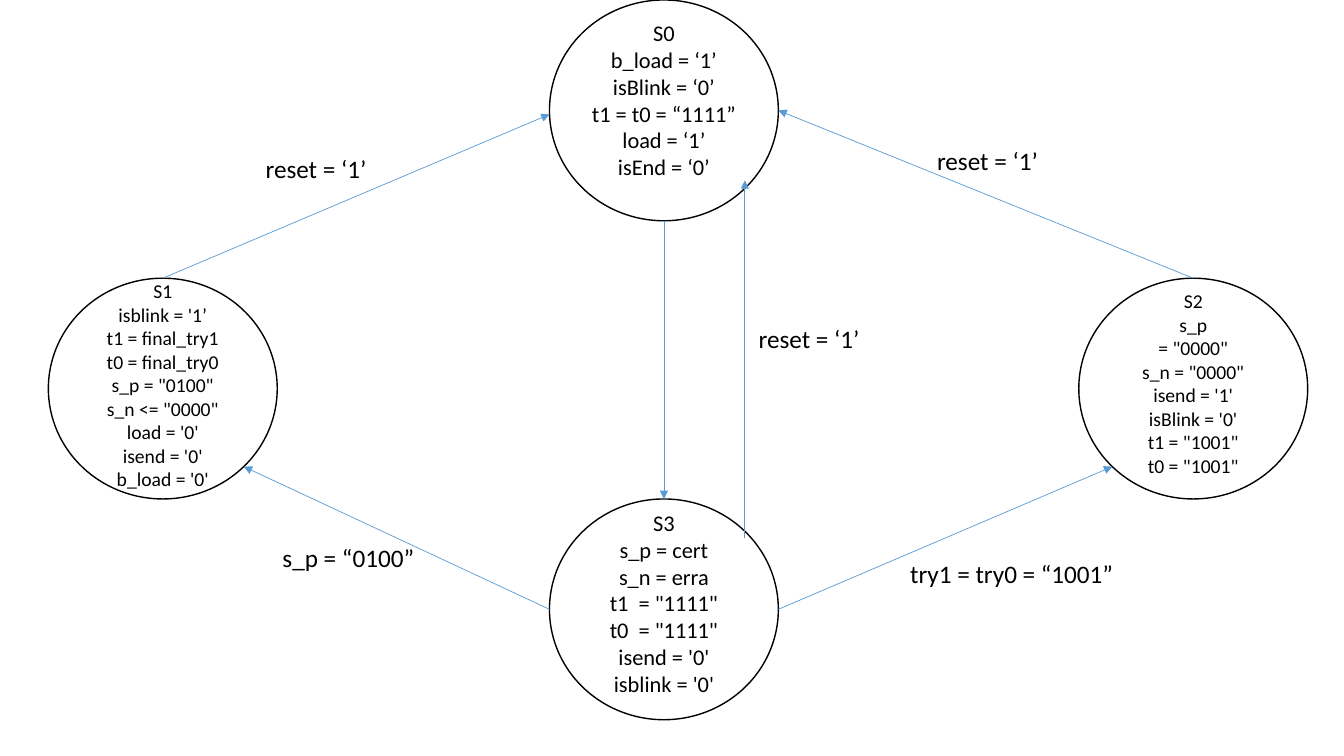
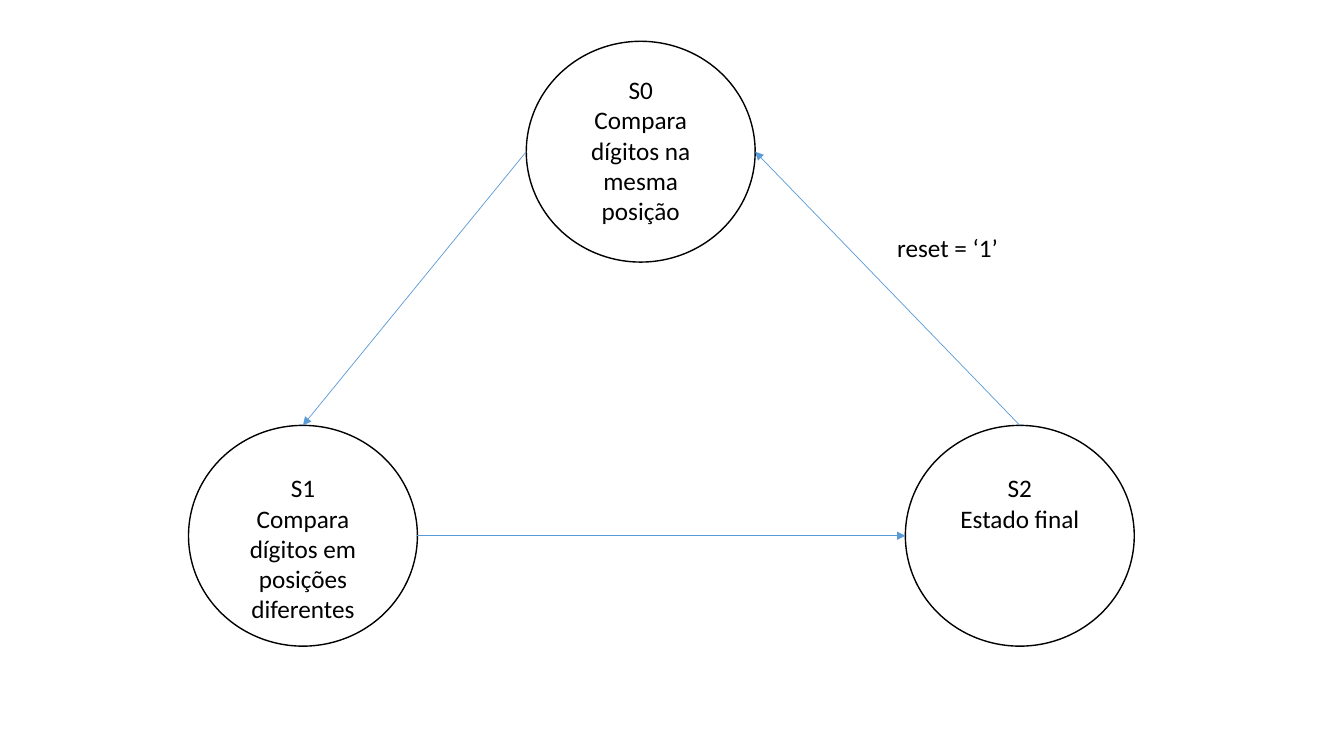
from math import cos, radians, sin
from lxml.etree import SubElement
from pptx import Presentation
from pptx.dml.color import RGBColor
from pptx.enum.shapes import MSO_CONNECTOR, MSO_SHAPE
from pptx.enum.text import PP_ALIGN
from pptx.oxml.ns import qn
from pptx.util import Inches, Pt

COLORS = {"ink": "000000", "arrow": "5B9BD5"}
FONT = "Calibri"
STATE_WIDTH, STATE_HEIGHT = 2.27, 2.19
TEXT_WIDTH = 1.63
LABEL_HEIGHT = 0.4
RIGHT, LOWER_RIGHT, BOTTOM, LOWER_LEFT, LEFT, TOP, UPPER_RIGHT = 0, 45, 90, 135, 180, 270, 315

# Each state: left, top, text top, text size, lines.
# Each arrow: state, angle, vertical shift at its start, then the same at its end.
# Each label: left, top, width, alignment, text.
DIAGRAMS = [
    {
        "states": {
            "S0": (5.45, 0, 0.14, 16, ["b_load = ‘1’", "isBlink = ‘0’", "t1 = t0 = “1111”",
                                       "load = ‘1’", "isEnd = ‘0’"]),
            "S1": (0.48, 2.76, 2.72, 14, ["isblink = '1’", "t1 = final_try1", "t0 = final_try0",
                                          's_p = "0100"', 's_n <= "0000"', "load = '0'",
                                          "isend = '0'", "b_load = '0'"]),
            "S2": (10.7, 2.76, 2.82, 14, ["s_p", '= "0000"', 's_n = "0000"', "isend = '1'",
                                          "isBlink = '0'", 't1 = "1001"', 't0 = "1001"']),
            "S3": (5.45, 4.95, 5, 16, ["s_p = cert", "s_n = erra", 't1  = "1111"',
                                       't0  = "1111"', "isend = '0'", "isblink = '0'"]),
        },
        "arrows": [
            ("S0", BOTTOM, 0, "S3", TOP, 0),
            ("S3", LEFT, 0, "S1", LOWER_RIGHT, 0),
            ("S3", RIGHT, 0, "S2", LOWER_LEFT, 0),
            ("S1", TOP, 0, "S0", LEFT, 0.04),
            ("S2", TOP, 0, "S0", RIGHT, 0),
            ("S3", UPPER_RIGHT, 0.07, "S0", LOWER_RIGHT, -0.08),
        ],
        "labels": [
            (2.27, 5.33, 2.37, PP_ALIGN.CENTER, "s_p = “0100”"),
            (8.85, 5.49, 2.37, PP_ALIGN.CENTER, "try1 = try0 = “1001”"),
            (1.95, 1.47, 2.37, PP_ALIGN.CENTER, "reset = ‘1’"),
            (8.61, 1.39, 2.37, PP_ALIGN.CENTER, "reset = ‘1’"),
            (6.84, 3.16, 2.37, PP_ALIGN.CENTER, "reset = ‘1’"),
        ],
    },
    {
        "states": {
            "S0": (5.22, 0.41, 0.69, 18, ["Compara dígitos na mesma posição"]),
            "S1": (1.87, 4.22, 4.64, 18, ["Compara dígitos em posições diferentes"]),
            "S2": (8.98, 4.22, 4.64, 18, ["Estado final"]),
        },
        "arrows": [
            ("S0", LEFT, 0, "S1", TOP, 0),
            ("S1", RIGHT, 0, "S2", LEFT, 0),
            ("S2", TOP, 0, "S0", RIGHT, 0),
        ],
        "labels": [(8.8, 2.26, 2.16, PP_ALIGN.LEFT, "reset = ‘1’")],
    },
]


def add_text(page, lines, left, top, width, height, size=18, align=PP_ALIGN.CENTER):
    box = page.shapes.add_textbox(Inches(left), Inches(top), Inches(width), Inches(height))
    box.text_frame.word_wrap = True
    box.text_frame.text = "\n".join(lines)
    for para in box.text_frame.paragraphs:
        para.alignment = align
        for span in para.runs:
            span.font.size = Pt(size)
            span.font.name = FONT
            span.font.color.rgb = RGBColor.from_string(COLORS["ink"])


def rim_point(state, angle, shift):
    left, top = state[:2]
    x = left + STATE_WIDTH / 2 * (1 + cos(radians(angle)))
    y = top + STATE_HEIGHT / 2 * (1 + sin(radians(angle))) + shift
    return Inches(x), Inches(y)


deck = Presentation()
deck.slide_width, deck.slide_height = Inches(13.33), Inches(7.5)

for diagram in DIAGRAMS:
    page = deck.slides.add_slide(deck.slide_layouts[6])
    states = diagram["states"]

    for left, top, *_ in states.values():
        circle = page.shapes.add_shape(MSO_SHAPE.OVAL, Inches(left), Inches(top),
                                       Inches(STATE_WIDTH), Inches(STATE_HEIGHT))
        circle.shadow.inherit = False
        circle.fill.background()
        circle.line.color.rgb = RGBColor.from_string(COLORS["ink"])
        circle.line.width = Pt(1)

    for name, (left, top, text_top, size, lines) in states.items():
        add_text(page, [name, *lines], left + (STATE_WIDTH - TEXT_WIDTH) / 2, text_top,
                 TEXT_WIDTH, top + STATE_HEIGHT - text_top, size=size)

    for source, source_angle, source_shift, target, target_angle, target_shift in diagram["arrows"]:
        arrow = page.shapes.add_connector(
            MSO_CONNECTOR.STRAIGHT,
            *rim_point(states[source], source_angle, source_shift),
            *rim_point(states[target], target_angle, target_shift))
        arrow.line.color.rgb = RGBColor.from_string(COLORS["arrow"])
        arrow.line.width = Pt(0.5)
        SubElement(arrow.line._get_or_add_ln(), qn("a:tailEnd"), type="triangle")
        SubElement(arrow._element.spPr, qn("a:effectLst"))

    for left, top, width, align, text in diagram["labels"]:
        add_text(page, [text], left, top, width, LABEL_HEIGHT, align=align)

deck.save("out.pptx")
